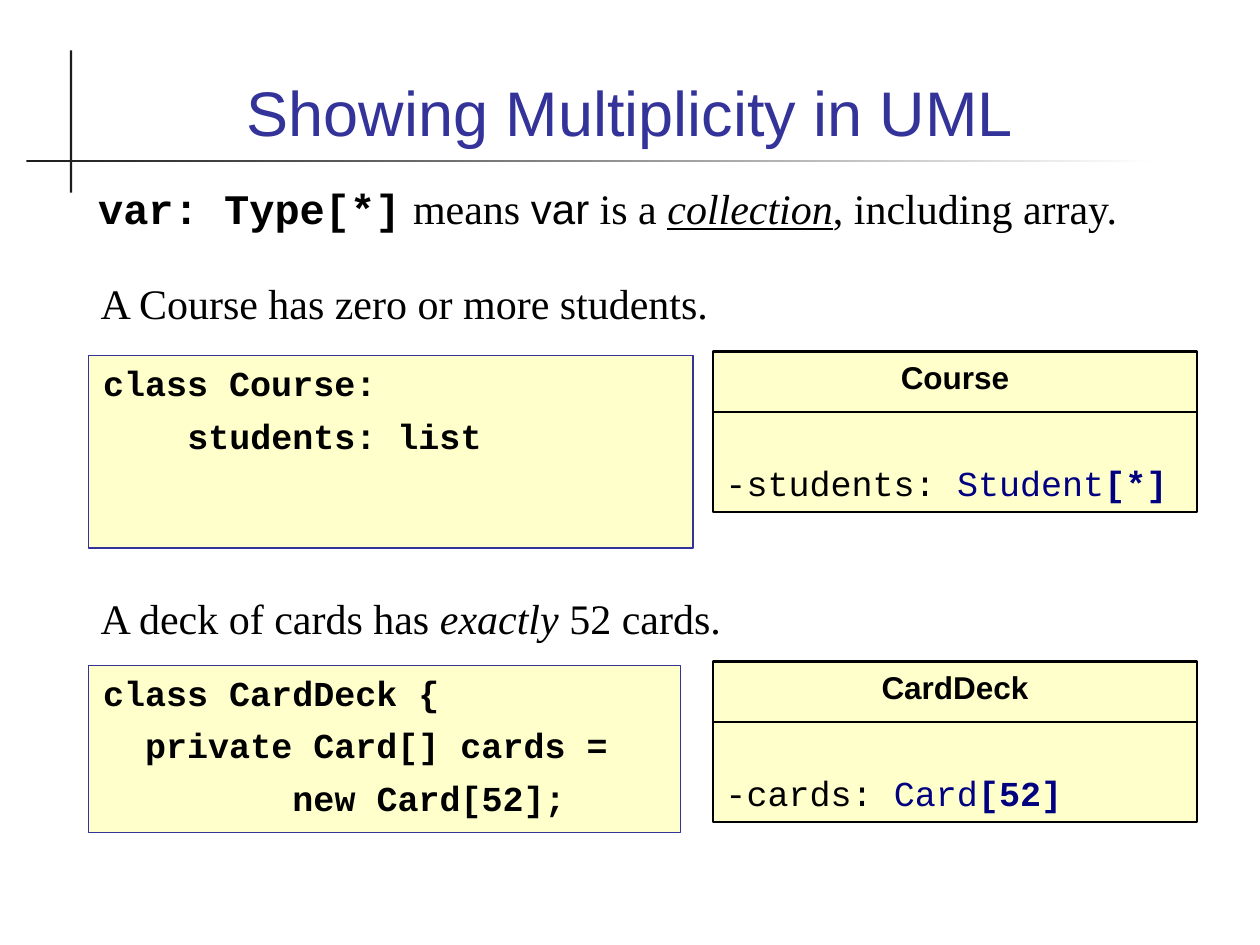
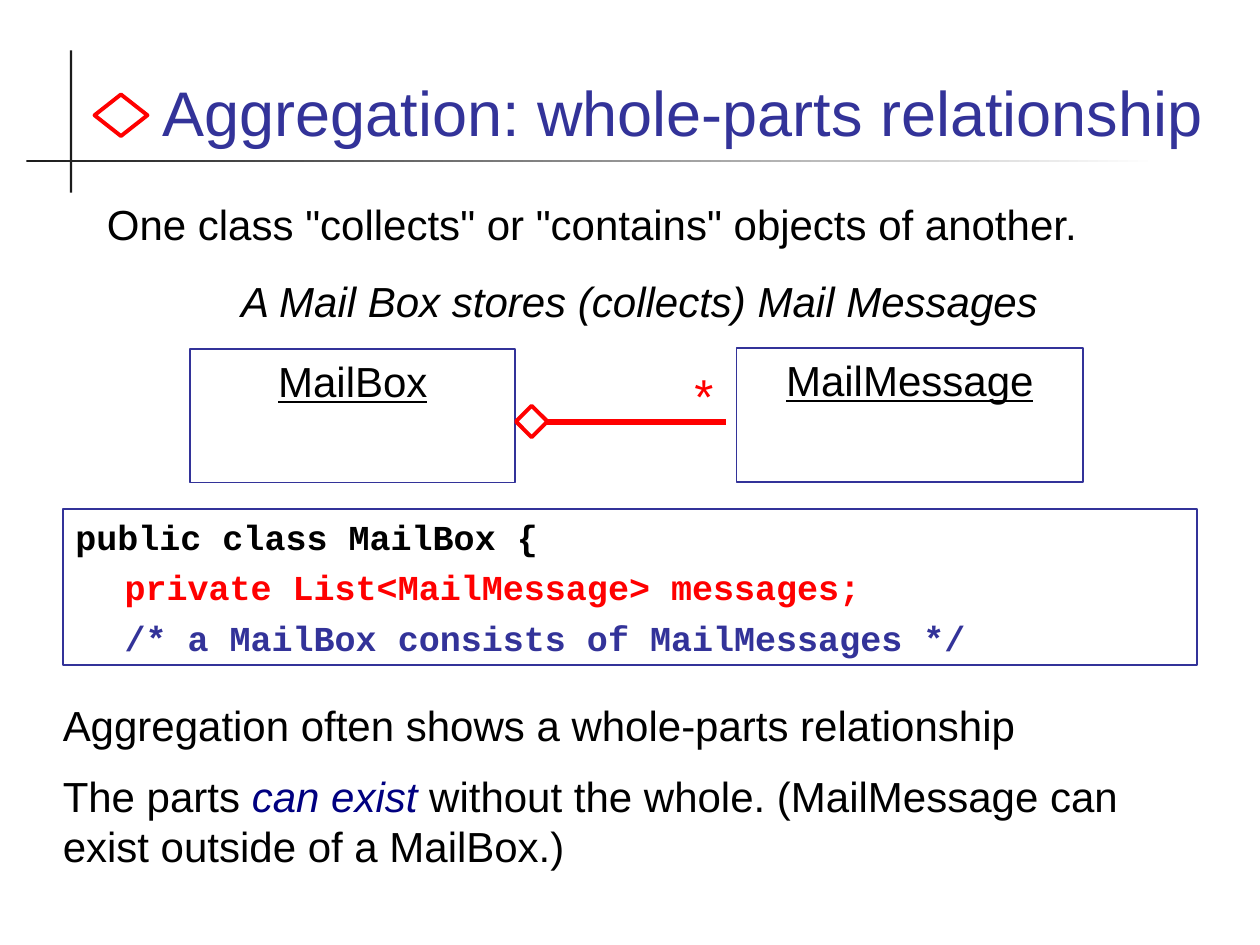
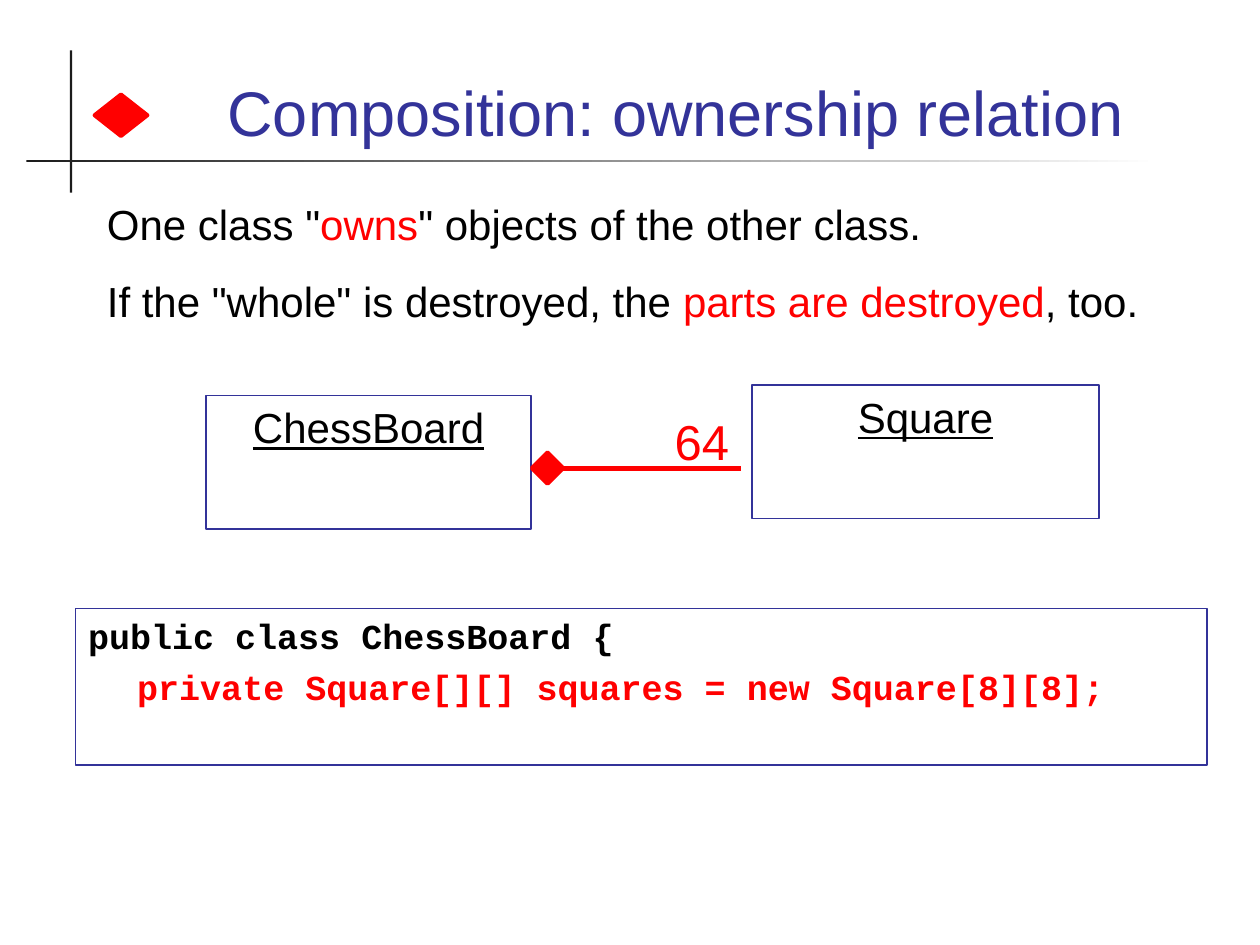
from dataclasses import dataclass, replace
from typing import Optional

from lxml.etree import SubElement
from pptx import Presentation
from pptx.dml.color import RGBColor
from pptx.enum.shapes import MSO_CONNECTOR, MSO_SHAPE
from pptx.enum.text import MSO_ANCHOR, PP_ALIGN
from pptx.oxml.ns import qn
from pptx.util import Inches, Pt

COLUMNS, ROWS = 100, 75
SLIDE_WIDTH, SLIDE_HEIGHT = Inches(10), Inches(7.5)
COLORS = {
    "title": "333399",
    "ink": "000000",
    "rule": "1C1C1C",
    "white": "FFFFFF",
    "cream": "FFFFCC",
    "red": "FF0000",
    "navy": "000080",
}
SANS, MONO, SERIF = "Arial", "Courier New", "Times New Roman"


@dataclass(frozen=True)
class Area:
    left: float
    top: float
    width: float
    height: float


@dataclass(frozen=True)
class Span:
    text: str
    size: float = 24
    font: str = SANS
    color: str = "ink"
    bold: bool = False
    italic: bool = False
    underline: bool = False


@dataclass(frozen=True)
class Line:
    spans: tuple
    align: PP_ALIGN = PP_ALIGN.LEFT
    before: float = 0
    margin: float = 0
    hanging: float = 0
    tab: float = 0


@dataclass(frozen=True)
class Style:
    fill: Optional[str] = None
    line: Optional[str] = None
    weight: float = 1


@dataclass(frozen=True)
class Association:
    whole: str
    member: str
    count: str
    left: float
    top: float
    member_top: float
    diamond_fill: str


FRAME = Style(line="title")
CODE_PANEL = Style("cream", "title", 0.75)
CLASS_PANEL = Style("cream", "ink", 1.5)
MARKER = Area(7.5, 7.5, 4.2, 3.3)
CODE = Span("", 20, MONO, bold=True)
SERIF_SPAN = Span("", font=SERIF)
MONO_ADVANCE = 1.67


def across(columns: float) -> int:
    return round(SLIDE_WIDTH * columns / COLUMNS)


def down(rows: float) -> int:
    return round(SLIDE_HEIGHT * rows / ROWS)


def rgb(name: str) -> RGBColor:
    return RGBColor.from_string(COLORS[name])


def place(area: Area) -> tuple:
    return across(area.left), down(area.top), across(area.width), down(area.height)


def write(shape, lines: list, anchor=MSO_ANCHOR.TOP) -> None:
    frame = shape.text_frame
    frame.word_wrap = True
    frame.vertical_anchor = anchor
    for index, line in enumerate(lines):
        paragraph = frame.add_paragraph() if index else frame.paragraphs[0]
        paragraph.text = line.spans[0].text
        for span in line.spans[1:]:
            paragraph.add_run().text = span.text
        paragraph.alignment = line.align
        paragraph.space_before = Pt(line.before)
        properties = paragraph._p.get_or_add_pPr()
        properties.set("marL", str(across(line.margin)))
        properties.set("indent", str(-across(line.hanging)))
        if line.tab:
            stops = SubElement(properties, qn("a:tabLst"))
            SubElement(stops, qn("a:tab"), pos=str(across(line.tab)), algn="l")
        for run, span in zip(paragraph.runs, line.spans):
            font = run.font
            font.size, font.name = Pt(span.size), span.font
            font.bold, font.italic, font.underline = span.bold, span.italic, span.underline
            font.color.rgb = rgb(span.color)


def add_text(page, area: Area, lines: list, anchor=MSO_ANCHOR.TOP) -> None:
    write(page.shapes.add_textbox(*place(area)), lines, anchor)


def add_box(page, area: Area, style: Style, lines: Optional[list] = None,
            kind=MSO_SHAPE.RECTANGLE):
    box = page.shapes.add_shape(kind, *place(area))
    box.shadow.inherit = False
    if style.fill:
        box.fill.solid()
        box.fill.fore_color.rgb = rgb(style.fill)
    else:
        box.fill.background()
    if style.line:
        box.line.color.rgb = rgb(style.line)
        box.line.width = Pt(style.weight)
    else:
        box.line.fill.background()
    if lines:
        write(box, lines)
    return box


def add_link(page, left: float, right: float, row: float, color: str, weight: float) -> None:
    link = page.shapes.add_connector(
        MSO_CONNECTOR.STRAIGHT, across(left), down(row), across(right), down(row))
    link.line.color.rgb = rgb(color)
    link.line.width = Pt(weight)
    SubElement(link._element.spPr, qn("a:effectLst"))


def add_diamond(page, area: Area, fill: str) -> None:
    add_box(page, area, Style(fill, "red", 2.25), kind=MSO_SHAPE.DIAMOND)


def add_page(deck, title: str, width: float, margin: float = 0):
    page = deck.slides.add_slide(deck.slide_layouts[6])
    add_box(page, Area(5.55, 4, 0.17, 11.3), Style("rule"))
    rule = add_box(page, Area(2.1, 12.7, 89.8, 0.17), Style())
    rule.fill.gradient()
    rule.fill.gradient_angle = 0
    for stop, color, position in zip(rule.fill.gradient_stops, ("rule", "white"), (0, 1)):
        stop.color.rgb = rgb(color)
        stop.position = position
    heading = Line((Span(title, 36, color="title"),), PP_ALIGN.CENTER, margin=margin)
    add_text(page, Area(6.7, 2.8, width, 9.5), [heading], MSO_ANCHOR.BOTTOM)
    return page


def code_line(text: str, spaces: int) -> Line:
    return Line((replace(CODE, text=text),), before=6,
                margin=2.5 + spaces * MONO_ADVANCE, hanging=2.3)


def add_class(page, top: float, name: str, field: str, kind: str, count: str) -> None:
    plain = replace(CODE, bold=False)
    add_box(page, Area(56.6, top, 38.4, 12.75), CLASS_PANEL, [
        Line((Span(name, 18, bold=True),), PP_ALIGN.CENTER, 11.2),
        Line((replace(plain, text=f"-{field}: "),
              replace(plain, text=kind, color="navy"),
              replace(CODE, text=count, color="navy")), before=37.7),
    ])
    add_link(page, 56.6, 95, top + 4.8, "ink", 1)


def add_association(page, relation: Association) -> None:
    left, top = relation.left, relation.top
    for name, area in (
        (relation.whole, Area(left, top, 25.8, 10.6)),
        (relation.member, Area(left + 43.35, relation.member_top, 27.5, 10.6)),
    ):
        label = Line((Span(name, underline=True),), PP_ALIGN.CENTER, 11.2)
        add_box(page, area, FRAME, [label])
    add_link(page, left + 27.1, left + 42.5, top + 5.8, "red", 3)
    add_text(page, Area(left + 34.2, top + 0.8, 8.3, 5.7),
             [Line((Span(relation.count, 28, color="red"),), PP_ALIGN.RIGHT, 17.5)])
    add_diamond(page, Area(left + 25.85, top + 4.5, 2.5, 2.5), relation.diamond_fill)
    add_diamond(page, MARKER, relation.diamond_fill)


def add_code(page, area: Area, header: str, members: list) -> None:
    add_box(page, area, FRAME, [Line((replace(CODE, text=header),), before=5)] + [
        Line((replace(CODE, text=text, color=color),), before=5, margin=3.9)
        for text, color in members
    ])


def statement(*spans: Span, align=PP_ALIGN.LEFT) -> Line:
    return Line(spans, align, 15, 3.7, 3.6)


def build_multiplicity(deck) -> None:
    page = add_page(deck, "Showing Multiplicity in UML", 86.6)
    add_box(page, Area(7, 28.2, 48, 15.3), CODE_PANEL, [
        code_line("class Course:", 0),
        code_line("students: list", 4),
    ])
    add_class(page, 27.9, "Course", "students", "Student", "[*]")
    add_box(page, Area(7, 52.8, 47, 13.3), CODE_PANEL, [
        code_line("class CardDeck {", 0),
        code_line("private Card[] cards =", 2),
        code_line("new Card[52];", 9),
    ])
    add_class(page, 52.5, "CardDeck", "cards", "Card", "[52]")
    add_text(page, Area(7, 21.5, 88, 5),
             [Line((replace(SERIF_SPAN, text="A Course has zero or more students."),))])
    add_text(page, Area(7, 46.5, 88, 5), [Line((
        replace(SERIF_SPAN, text="A deck of cards has "),
        replace(SERIF_SPAN, text="exactly", italic=True),
        replace(SERIF_SPAN, text=" 52 cards."),
    ))])
    add_text(page, Area(6.8, 14, 87.2, 9), [Line((
        Span("var: Type[*]", font=MONO, bold=True),
        replace(SERIF_SPAN, text="\tmeans "),
        Span("var"),
        replace(SERIF_SPAN, text=" is a "),
        replace(SERIF_SPAN, text="collection", italic=True, underline=True),
        replace(SERIF_SPAN, text=", including array."),
    ), tab=26.5)])


def build_aggregation(deck) -> None:
    page = add_page(deck, "Aggregation: whole-parts relationship", 90.8, 4.17)
    add_text(page, Area(7.4, 15.3, 86.6, 13.7), [
        statement(Span('One class "collects" or "contains" objects of another.')),
        statement(Span("A Mail Box stores (collects) Mail Messages", italic=True),
                  align=PP_ALIGN.CENTER),
    ])
    add_association(page, Association(
        "MailBox", "MailMessage", "*", 15.1, 27.7, 27.65, "white"))
    add_code(page, Area(5, 40.4, 90, 12.4), "public class MailBox {", [
        ("private List<MailMessage> messages;", "red"),
        ("/* a MailBox consists of MailMessages */", "title"),
    ])
    add_text(page, Area(4, 55, 90, 14.6), [
        Line((Span("Aggregation often shows a whole-parts relationship"),), before=12),
        Line((
            Span("The parts "),
            Span("can exist", color="navy", italic=True),
            Span(" without the whole. (MailMessage can exist outside of a MailBox.)"),
        ), before=12),
    ])


def build_composition(deck) -> None:
    page = add_page(deck, "Composition: ownership relation", 88.3, 5.56)
    add_text(page, Area(7.4, 15.3, 86.6, 14.7), [
        statement(Span('One class "'), Span("owns", color="red"),
                  Span('" objects of the other class.')),
        statement(Span('If the "whole" is destroyed, the '),
                  Span("parts are destroyed", color="red"), Span(", too.")),
    ])
    add_association(page, Association(
        "ChessBoard", "Square", "64", 16.35, 31.4, 30.55, "red"))
    add_code(page, Area(6, 48.3, 89.8, 12.4), "public class ChessBoard {", [
        ("private Square[][] squares = new Square[8][8];", "red"),
    ])


def main() -> None:
    deck = Presentation()
    deck.slide_width, deck.slide_height = SLIDE_WIDTH, SLIDE_HEIGHT
    for build in (build_multiplicity, build_aggregation, build_composition):
        build(deck)
    deck.save("out.pptx")


if __name__ == "__main__":
    main()
